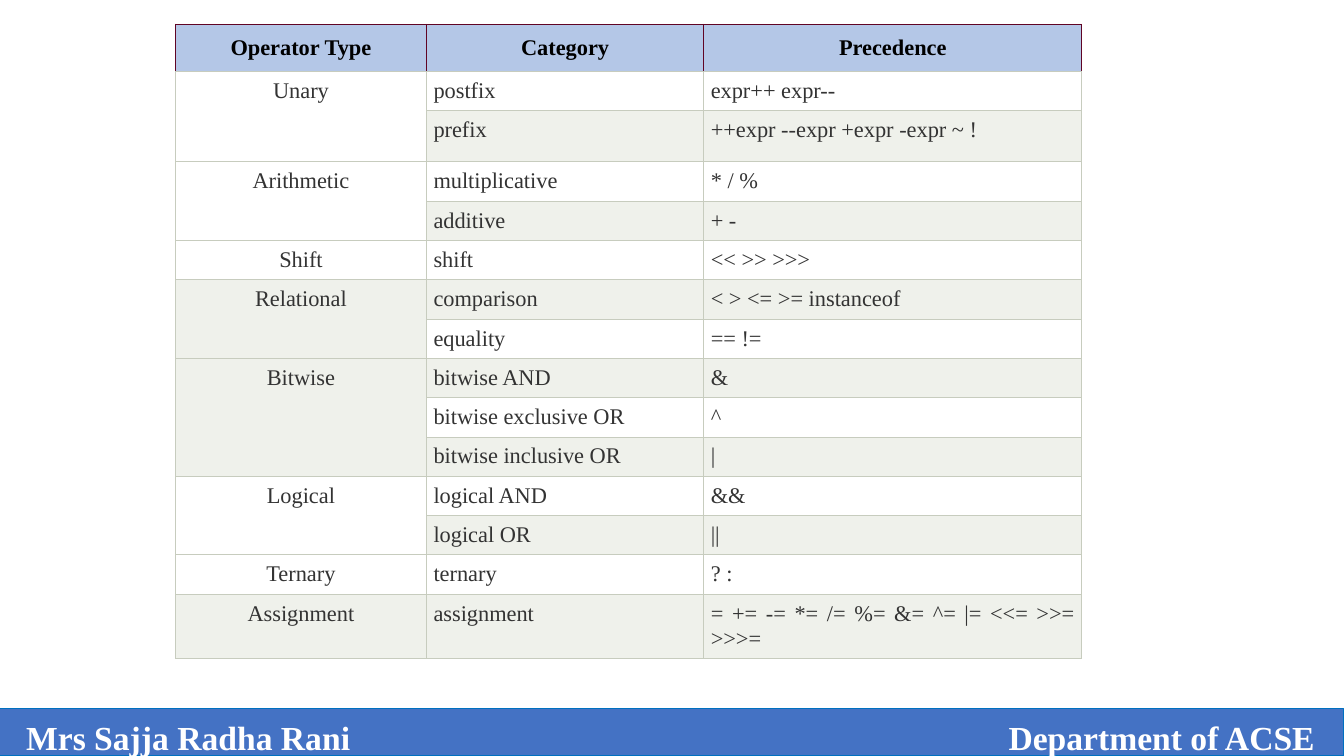
from pptx import Presentation, util as u
from pptx.dml.color import RGBColor
from pptx.enum import shapes, text
from pptx.oxml.ns import qn
from lxml import etree

THEME = {
    "font": "Times New Roman", "table_size": 16, "footer_size": 24,
    "header_fill": "B4C7E7", "header_text": "000000", "header_line": "600424",
    "band_fills": ("EFF1EB", "FFFFFF"), "body_text": "333333", "body_line": "C7CCBE",
    "footer_fill": "4472C4", "footer_line": "0070C0", "footer_text": "FFFFFF",
}
HEADINGS = ("Operator Type", "Category", "Precedence")
OPERATORS = {
    "Unary": [("postfix", "expr++ expr--"), ("prefix", "++expr --expr +expr -expr ~ !")],
    "Arithmetic": [("multiplicative", "* / %"), ("additive", "+ -")],
    "Shift": [("shift", "<< >> >>>")],
    "Relational": [("comparison", "< > <= >= instanceof"), ("equality", "== !=")],
    "Bitwise": [("bitwise AND", "&"), ("bitwise exclusive OR", "^"),
                ("bitwise inclusive OR", "|")],
    "Logical": [("logical AND", "&&"), ("logical OR", "||")],
    "Ternary": [("ternary", "? :")],
    "Assignment": [("assignment", "= += -= *= /= %= &= ^= |= <<= >>= >>>=")],
}
COLUMN_WIDTHS = (2.49, 2.75, 3.75)
ROW_HEIGHT = 0.39
SPECIAL_HEIGHTS = {0: 0.46, 2: 0.51, 14: 0.64}
ALIGN = text.PP_ALIGN


def style_font(paragraph, size, color, bold):
    paragraph.font.color.rgb = RGBColor.from_string(color)
    formats = {"name": THEME["font"], "size": u.Pt(size), "bold": bold}
    for name, value in formats.items():
        setattr(paragraph.font, name, value)


def add_borders(cell, colors):
    properties = cell._tc.get_or_add_tcPr()
    for side, color in zip("LRTB", colors):
        line = etree.SubElement(properties, qn(f"a:ln{side}"), w=str(u.Pt(0.75)))
        fill = etree.SubElement(line, qn("a:solidFill"))
        etree.SubElement(fill, qn("a:srgbClr"), val=color)


presentation = Presentation()
presentation.slide_width, presentation.slide_height = u.Inches(13.33), u.Inches(7.5)
slide = presentation.slides.add_slide(presentation.slide_layouts[6])

# Footer bar: name on the left, department at a right tab
footer = slide.shapes.add_shape(shapes.MSO_SHAPE.RECTANGLE, 0, u.Inches(7.03),
                                presentation.slide_width, u.Inches(0.47))
footer.shadow.inherit = False
footer.fill.solid()
footer.fill.fore_color.rgb = RGBColor.from_string(THEME["footer_fill"])
footer.line.color.rgb = RGBColor.from_string(THEME["footer_line"])
footer.line.width = u.Pt(0.75)
frame = footer.text_frame
footer_format = {"margin_left": u.Inches(0.26), "margin_right": u.Inches(0.1),
                 "margin_top": u.Inches(0.09), "margin_bottom": 0, "word_wrap": True,
                 "vertical_anchor": text.MSO_ANCHOR.MIDDLE}
for name, value in footer_format.items():
    setattr(frame, name, value)
paragraph = frame.paragraphs[0]
paragraph.text = "Mrs Sajja Radha Rani\tDepartment of ACSE"
paragraph.alignment = ALIGN.LEFT
tabs = etree.SubElement(paragraph._p.get_or_add_pPr(), qn("a:tabLst"))
etree.SubElement(tabs, qn("a:tab"), pos=str(u.Inches(12.78)), algn="r")
style_font(paragraph, THEME["footer_size"], THEME["footer_text"], True)

# Table grid
rows = [HEADINGS]
for operator, entries in OPERATORS.items():
    rows += [(operator if index == 0 else "", *entry) for index, entry in enumerate(entries)]
heights = [SPECIAL_HEIGHTS.get(index, ROW_HEIGHT) for index in range(len(rows))]
table = slide.shapes.add_table(len(rows), len(HEADINGS), u.Inches(1.74), u.Inches(0.24),
                               u.Inches(sum(COLUMN_WIDTHS)), u.Inches(sum(heights))).table
table.first_row = table.horz_banding = False
for column, width in zip(table.columns, COLUMN_WIDTHS):
    column.width = u.Inches(width)
for row, height in zip(table.rows, heights):
    row.height = u.Inches(height)

# Cells: header row, then alternating bands
for row_index, values in enumerate(rows):
    header = row_index == 0
    fill = THEME["header_fill"] if header else THEME["band_fills"][row_index % 2]
    line = THEME["header_line"] if header else THEME["body_line"]
    alignments = [ALIGN.CENTER] * 3 if header else [ALIGN.CENTER, ALIGN.LEFT, ALIGN.JUSTIFY]
    for column_index, value in enumerate(values):
        cell = table.cell(row_index, column_index)
        for side in ("left", "right", "top", "bottom"):
            setattr(cell, f"margin_{side}", u.Inches(0.11 if header else 0.07))
        add_borders(cell, (line, line, line, THEME["body_line"]))
        cell.fill.solid()
        cell.fill.fore_color.rgb = RGBColor.from_string(fill)
        paragraph = cell.text_frame.paragraphs[0]
        paragraph.text = value
        paragraph.alignment = alignments[column_index]
        style_font(paragraph, THEME["table_size"],
                   THEME["header_text" if header else "body_text"], header)

# Operator types span their categories
first = 1
for entries in OPERATORS.values():
    last = first + len(entries) - 1
    if last > first:
        table.cell(first, 0).merge(table.cell(last, 0))
    first = last + 1

presentation.save("out.pptx")
